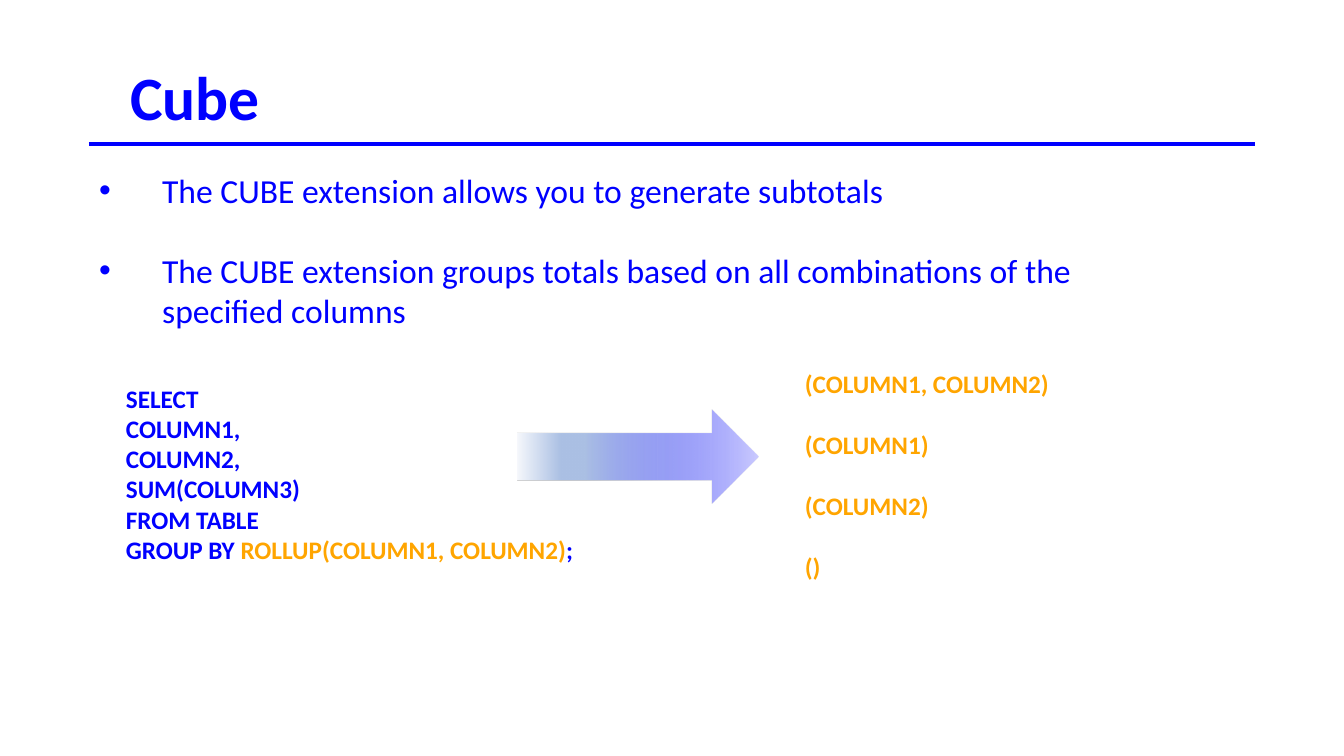
from lxml.etree import SubElement
from pptx import Presentation
from pptx.dml.color import RGBColor
from pptx.enum.shapes import MSO_CONNECTOR, MSO_SHAPE
from pptx.enum.text import MSO_ANCHOR, MSO_AUTO_SIZE, PP_ALIGN
from pptx.oxml import parse_xml
from pptx.oxml.ns import nsdecls, qn
from pptx.util import Emu, Pt

EMU_PER_PX = 12192000 / 1344
COLORS = {"ink": "0000FF", "accent": "FFA500", "paper": "FFFFFF",
          "mist": "F6F8FC", "steel": "ABC0E4"}


def px(length):
    return Emu(round(length * EMU_PER_PX))


def color(name):
    return RGBColor.from_string(COLORS[name])


class SlideBuilder:
    font_name = "Calibri"

    def __init__(self, presentation):
        layout = presentation.slide_layouts[1]
        self.slide = presentation.slides.add_slide(layout)

    def place(self, shape, box):
        for name, value in zip(("left", "top", "width", "height"), box):
            setattr(shape, name, px(value))

    def fill_text(self, shape, paragraphs, size, bold=False, gap=0):
        frame = shape.text_frame
        frame_format = {"word_wrap": True, "auto_size": MSO_AUTO_SIZE.NONE,
                        "vertical_anchor": MSO_ANCHOR.TOP}
        for name, value in frame_format.items():
            setattr(frame, name, value)
        paragraph_format = {"alignment": PP_ALIGN.LEFT,
                            "space_before": Pt(0), "space_after": Pt(gap)}
        font_format = {"name": self.font_name, "size": Pt(size), "bold": bold}
        for index, runs in enumerate(paragraphs):
            paragraph = frame.add_paragraph() if index else frame.paragraphs[0]
            for name, value in paragraph_format.items():
                setattr(paragraph, name, value)
            for text, color_name in runs:
                run = paragraph.add_run()
                run.text = text
                for name, value in font_format.items():
                    setattr(run.font, name, value)
                run.font.color.rgb = color(color_name)
        return frame

    def placeholder(self, index, box, paragraphs, size, **style):
        shape = self.slide.placeholders[index]
        self.place(shape, box)
        shape.fill.solid()
        shape.fill.fore_color.rgb = color("paper")
        return self.fill_text(shape, paragraphs, size, **style)

    def title(self, box, text):
        self.placeholder(0, box, [[(text, "ink")]], 44, bold=True)

    def bullets(self, box, items, indent, gap):
        paragraphs = [[(item, "ink")] for item in items]
        frame = self.placeholder(1, box, paragraphs, 24, gap=gap)
        for paragraph in frame.paragraphs:
            properties = paragraph._p.get_or_add_pPr()
            properties.set("marL", str(px(indent)))
            properties.set("indent", str(-px(indent)))
            SubElement(properties, qn("a:buFont"), typeface="Arial")
            SubElement(properties, qn("a:buChar"), char="•")

    def text(self, box, paragraphs, gap=0):
        shape = self.slide.shapes.add_textbox(*map(px, box))
        self.fill_text(shape, paragraphs, 18, bold=True, gap=gap)

    def rule(self, left, right, y):
        connector = self.slide.shapes.add_connector(
            MSO_CONNECTOR.STRAIGHT, px(left), px(y), px(right), px(y))
        connector.line.color.rgb = color("ink")
        connector.line.width = Pt(3)
        SubElement(connector._element.spPr, qn("a:effectLst"))

    def gradient_arrow(self, box, stops):
        shape = self.slide.shapes.add_shape(MSO_SHAPE.DOWN_ARROW, *map(px, box))
        shape.rotation = 270
        shape.shadow.inherit = False
        shape.line.fill.background()
        marks = "".join(
            f'<a:gs pos="{position * 1000}"><a:srgbClr val="{COLORS[name]}">'
            f'<a:alpha val="{opacity * 1000}"/></a:srgbClr></a:gs>'
            for position, name, opacity in stops)
        gradient = parse_xml(
            f'<a:gradFill {nsdecls("a")} rotWithShape="1"><a:gsLst>{marks}'
            '</a:gsLst><a:lin ang="5400000" scaled="0"/></a:gradFill>')
        shape._element.spPr.find(qn("a:prstGeom")).addnext(gradient)


def main():
    presentation = Presentation()
    presentation.slide_width = px(1344)
    presentation.slide_height = px(756)
    builder = SlideBuilder(presentation)

    builder.title((120, 54, 1098, 78), "Cube")
    builder.rule(89, 1255, 144)
    builder.bullets((89, 165, 1098, 162), [
        "The CUBE extension allows you to generate subtotals",
        "The CUBE extension groups totals based on all combinations of the "
        "specified columns",
    ], indent=63, gap=28)

    query = [[(line, "ink")] for line in (
        "SELECT", "COLUMN1,", "COLUMN2,", "SUM(COLUMN3)", "FROM TABLE")]
    query.append([("GROUP BY ", "ink"), ("ROLLUP(COLUMN1, COLUMN2)", "accent"),
                  (";", "ink")])
    builder.text((116, 378, 556, 194), query)

    groupings = ("(COLUMN1, COLUMN2)", "(COLUMN1)", "(COLUMN2)", "()")
    builder.text((795, 363, 317, 224),
                 [[(grouping, "accent")] for grouping in groupings], gap=22)

    builder.gradient_arrow((591, 336, 94, 241), [
        (0, "mist", 100), (18, "steel", 100), (28, "steel", 100),
        (100, "ink", 20)])

    presentation.save("out.pptx")


if __name__ == "__main__":
    main()
